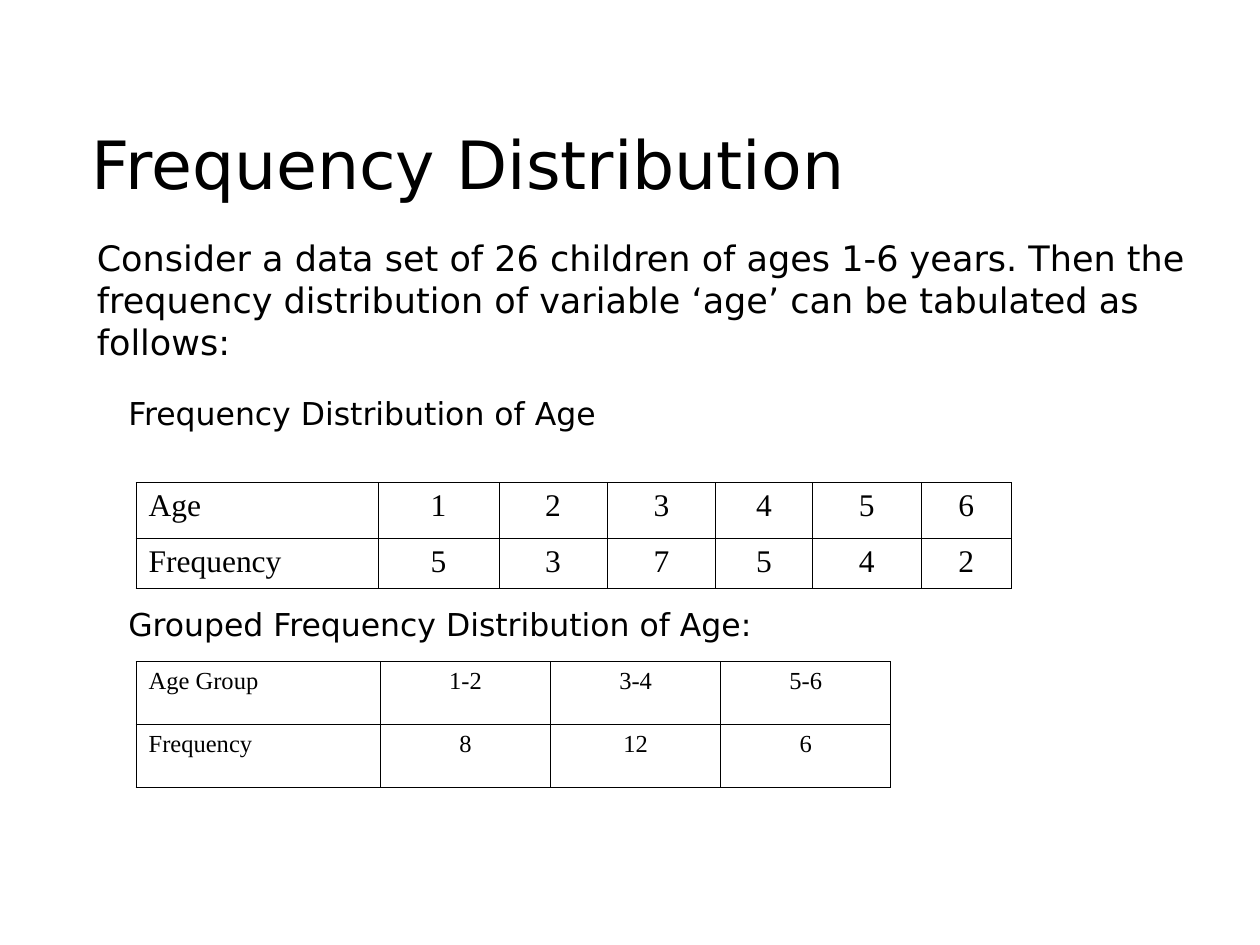
from pptx import Presentation
from pptx import util as u
from pptx.dml.color import RGBColor
from pptx.enum import text
from pptx.oxml import parse_xml
from pptx.oxml.ns import nsdecls

SANS, SERIF = "DejaVu Sans", "Times New Roman"
BLACK = "000000"
LEFT, CENTER = text.PP_ALIGN.LEFT, text.PP_ALIGN.CENTER
INSETS = {"margin_left": u.Inches(0.1), "margin_right": u.Inches(0.1),
          "margin_top": u.Inches(0.05), "margin_bottom": u.Inches(0.05)}


def color(value):
    return RGBColor.from_string(value)


def apply(obj, values):
    for name, value in values.items():
        setattr(obj, name, value)


def write(p, words, size, font, align=LEFT, before=0):
    apply(p, {"alignment": align, "space_before": u.Pt(before)})
    r = p.add_run()
    r.text = words
    apply(r.font, {"size": u.Pt(size), "name": font})
    r.font.color.rgb = color(BLACK)


def add_text(s, box, words, size, before=0, anchor=text.MSO_ANCHOR.TOP,
             fit=text.MSO_AUTO_SIZE.SHAPE_TO_FIT_TEXT):
    tf = s.shapes.add_textbox(*map(u.Inches, box)).text_frame
    apply(tf, {**INSETS, "word_wrap": True, "auto_size": fit,
               "vertical_anchor": anchor})
    write(tf.paragraphs[0], words, size, SANS, before=before)


def add_borders(cell):
    pr = cell._tc.get_or_add_tcPr()
    for i, side in enumerate(("lnL", "lnR", "lnT", "lnB")):
        pr.insert(i, parse_xml(
            f'<a:{side} {nsdecls("a")} w="{u.Pt(0.45)}"><a:solidFill>'
            f'<a:srgbClr val="{BLACK}"/></a:solidFill></a:{side}>'))


def add_frequency_table(s, left, top, widths, heights, rows, size):
    box = (left, top, sum(widths), sum(heights))
    table = s.shapes.add_table(len(rows), len(widths),
                               *map(u.Inches, box)).table
    apply(table, {"first_row": False, "horz_banding": False})
    for col, width in zip(table.columns, widths):
        col.width = u.Inches(width)
    for row, height, values in zip(table.rows, heights, rows):
        row.height = u.Inches(height)
        for i, (cell, value) in enumerate(zip(row.cells, values)):
            apply(cell, INSETS)
            cell.fill.background()
            add_borders(cell)
            write(cell.text_frame.paragraphs[0], value, size, SERIF,
                  CENTER if i else LEFT)


def build_slide(prs):
    s = prs.slides.add_slide(prs.slide_layouts[6])
    add_text(s, (0.63, 0.33, 8.75, 1.33), "Frequency Distribution", 38,
             anchor=text.MSO_ANCHOR.BOTTOM, fit=text.MSO_AUTO_SIZE.NONE)
    add_frequency_table(
        s, 1.08, 3.83, [1.92, 0.96, 0.86, 0.86, 0.77, 0.86, 0.72],
        [0.44, 0.4],
        [["Age", *"123456"], ["Frequency", *"537542"]], 18)
    add_text(s, (0.92, 3.08, 4.17, 0.4), "Frequency Distribution of Age",
             18, before=11.2)
    add_text(s, (0.92, 4.75, 8.25, 0.4),
             "Grouped Frequency Distribution of Age:", 18, before=11.2)
    add_frequency_table(
        s, 1.08, 5.25, [1.94] + [1.35] * 3, [0.5] * 2,
        [["Age Group", "1-2", "3-4", "5-6"],
         ["Frequency", "8", "12", "6"]], 14)
    add_text(s, (0.67, 1.83, 9.33, 0.77),
             "Consider a data set of 26 children of ages 1-6 years. Then the "
             "frequency distribution of variable ‘age’ can be tabulated as "
             "follows: ", 20)


prs = Presentation()
apply(prs, {"slide_width": u.Inches(10), "slide_height": u.Inches(7.5)})
build_slide(prs)
prs.save("out.pptx")
